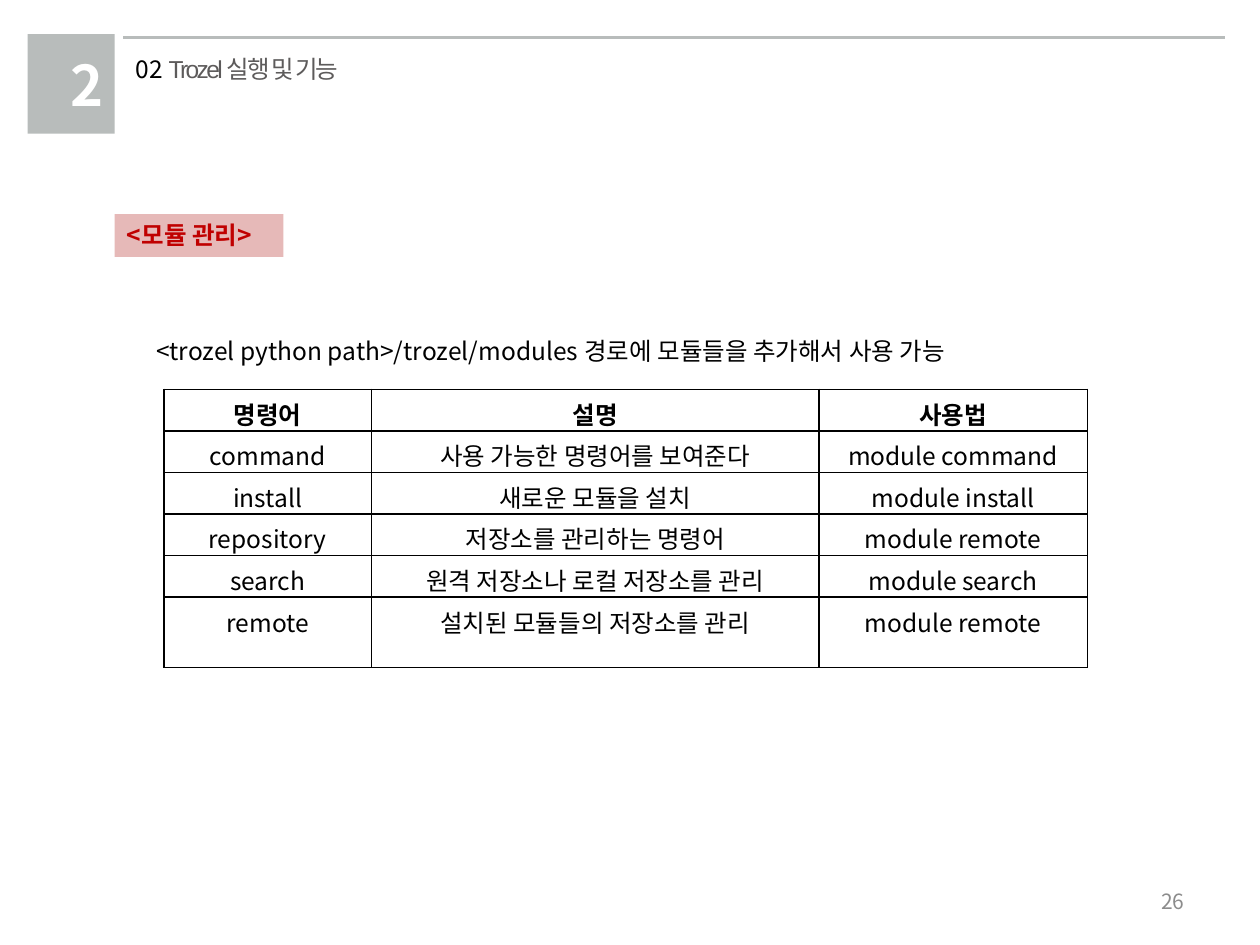
from lxml import etree
from pptx import Presentation
from pptx.dml.color import RGBColor
from pptx.enum import shapes, text
from pptx.oxml import ns
from pptx.util import Inches, Pt

BLACK = RGBColor(0x00, 0x00, 0x00)
WHITE = RGBColor(0xFF, 0xFF, 0xFF)
SILVER = RGBColor(0xB8, 0xBC, 0xBB)
TITLE_GRAY = RGBColor(0x5D, 0x5B, 0x5B)
PAGE_GRAY = RGBColor(0x8C, 0x8C, 0x8C)
PINK = RGBColor(0xE6, 0xB9, 0xB8)
RED = RGBColor(0xC0, 0x00, 0x00)
FONT = "Noto Sans CJK KR"

SECTION = "2"
TITLE_NUMBER, TITLE = "02 ", "Trozel 실행 및 기능"
LABEL = "<모듈 관리>"
NOTE = "<trozel python path>/trozel/modules 경로에 모듈들을 추가해서 사용 가능"
PAGE = "26"
COMMANDS = [
    ("명령어", "설명", "사용법"),
    ("command", "사용 가능한 명령어를 보여준다", "module command"),
    ("install", "새로운 모듈을 설치", "module install"),
    ("repository", "저장소를 관리하는 명령어", "module remote"),
    ("search", "원격 저장소나 로컬 저장소를 관리", "module search"),
    ("remote", "설치된 모듈들의 저장소를 관리", "module remote"),
]
COLUMN_WIDTHS = [1.65, 3.55, 2.13]
ROW_HEIGHT, LAST_ROW_HEIGHT = 0.33, 0.56


def add_text(paragraph, words, size=14, color=BLACK, bold=False, font=FONT,
             align=None, spacing=None):
    paragraph.alignment = align
    run = paragraph.add_run()
    run.text = words
    run.font.size = Pt(size)
    run.font.bold = bold
    run.font.color.rgb = color
    run.font.name = font
    properties = run.font._element
    etree.SubElement(properties, ns.qn("a:ea"), typeface=font)
    if spacing is not None:
        properties.set("spc", str(int(spacing * 100)))


def add_box(slide, left, top, width, height, wrap=False, grow=True):
    box = slide.shapes.add_textbox(*map(Inches, (left, top, width, height)))
    frame = box.text_frame
    frame.word_wrap = wrap
    if grow:
        frame.auto_size = text.MSO_AUTO_SIZE.SHAPE_TO_FIT_TEXT
    return frame


def add_rectangle(slide, left, top, width, height, color):
    shape = slide.shapes.add_shape(
        shapes.MSO_SHAPE.RECTANGLE, *map(Inches, (left, top, width, height)))
    shape.shadow.inherit = False
    shape.fill.solid()
    shape.fill.fore_color.rgb = color
    shape.line.fill.background()
    return shape


def add_borders(cell):
    properties = cell._tc.get_or_add_tcPr()
    for position, side in enumerate(("lnL", "lnR", "lnT", "lnB")):
        line = etree.Element(ns.qn(f"a:{side}"), w=str(Pt(1)))
        fill = etree.SubElement(line, ns.qn("a:solidFill"))
        etree.SubElement(fill, ns.qn("a:srgbClr"), val=str(BLACK))
        properties.insert(position, line)


def add_header(slide):
    rule = slide.shapes.add_connector(
        shapes.MSO_CONNECTOR.STRAIGHT, *map(Inches, (0.98, 0.3, 9.72, 0.3)))
    rule.line.color.rgb = SILVER
    rule.line.width = Pt(1.5)
    etree.SubElement(rule._element.spPr, ns.qn("a:effectLst"))
    add_rectangle(slide, 0.22, 0.27, 0.69, 0.79, SILVER)
    section = add_box(slide, 0.46, 0.35, 0.21, 0.64, wrap=True)
    add_text(section.paragraphs[0], SECTION, size=32, color=WHITE, bold=True,
             align=text.PP_ALIGN.CENTER)
    title = add_box(slide, 0.98, 0.38, 1.97, 0.34).paragraphs[0]
    add_text(title, TITLE_NUMBER)
    add_text(title, TITLE, color=TITLE_GRAY, font="Arial", spacing=-1.5)


def add_command_table(slide):
    height = ROW_HEIGHT * (len(COMMANDS) - 1) + LAST_ROW_HEIGHT
    table = slide.shapes.add_table(
        len(COMMANDS), len(COLUMN_WIDTHS), Inches(1.3), Inches(3.09),
        Inches(sum(COLUMN_WIDTHS)), Inches(height)).table
    table.horz_banding = False
    for column, width in zip(table.columns, COLUMN_WIDTHS):
        column.width = Inches(width)
    for row in table.rows:
        row.height = Inches(ROW_HEIGHT)
    table.rows[len(COMMANDS) - 1].height = Inches(LAST_ROW_HEIGHT)
    for row_index, entries in enumerate(COMMANDS):
        for column_index, words in enumerate(entries):
            cell = table.cell(row_index, column_index)
            cell.margin_bottom = 0
            cell.fill.background()
            add_borders(cell)
            add_text(cell.text_frame.paragraphs[0], words,
                     bold=row_index == 0, align=text.PP_ALIGN.CENTER)


def main():
    presentation = Presentation()
    presentation.slide_width = Inches(10)
    presentation.slide_height = Inches(7.5)
    slide = presentation.slides.add_slide(presentation.slide_layouts[6])

    add_header(slide)
    label = add_rectangle(slide, 0.91, 1.7, 1.34, 0.34, PINK).text_frame
    label.word_wrap = False
    label.vertical_anchor = text.MSO_ANCHOR.TOP
    add_text(label.paragraphs[0], LABEL, color=RED, bold=True,
             align=text.PP_ALIGN.LEFT)
    add_text(add_box(slide, 1.14, 2.62, 6.98, 0.34).paragraphs[0], NOTE)
    add_command_table(slide)
    page = add_box(slide, 7.17, 6.95, 2.33, 0.4, wrap=True, grow=False)
    page.vertical_anchor = text.MSO_ANCHOR.MIDDLE
    add_text(page.paragraphs[0], PAGE, size=12, color=PAGE_GRAY,
             align=text.PP_ALIGN.RIGHT)
    presentation.save("out.pptx")


if __name__ == "__main__":
    main()
